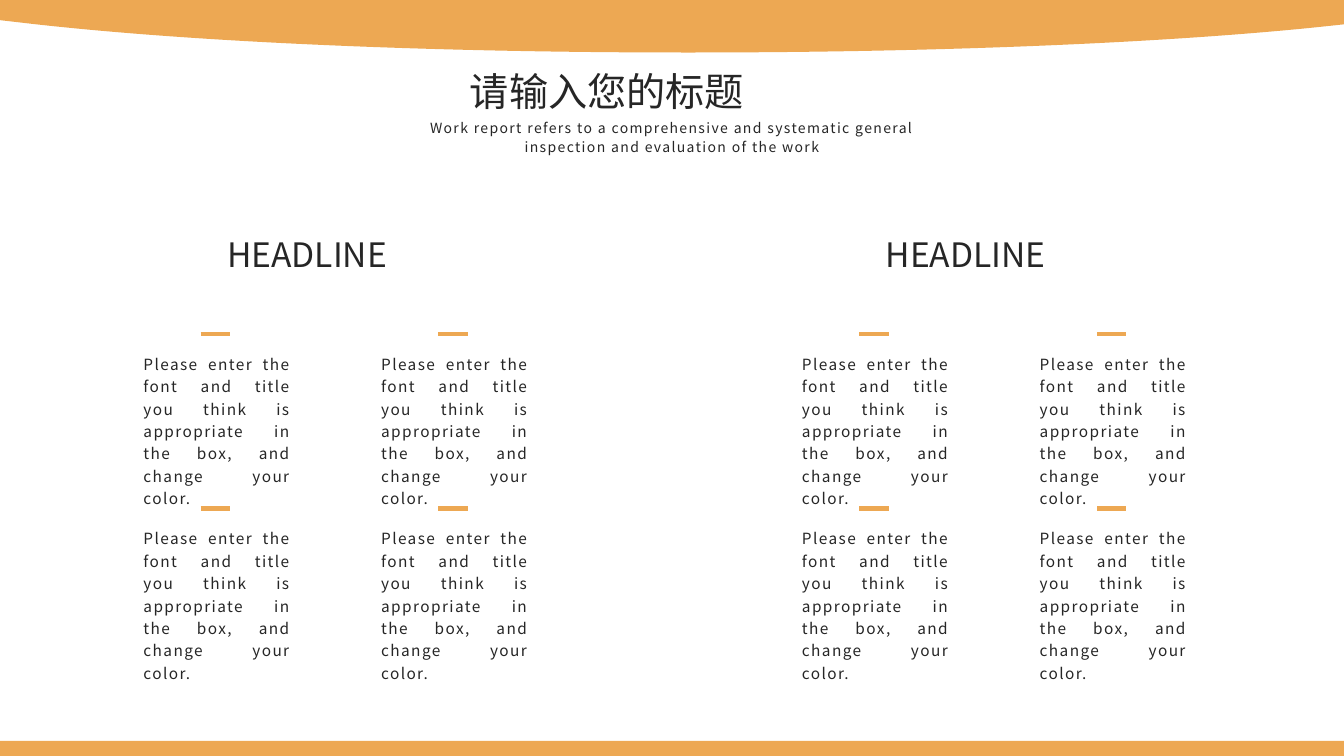
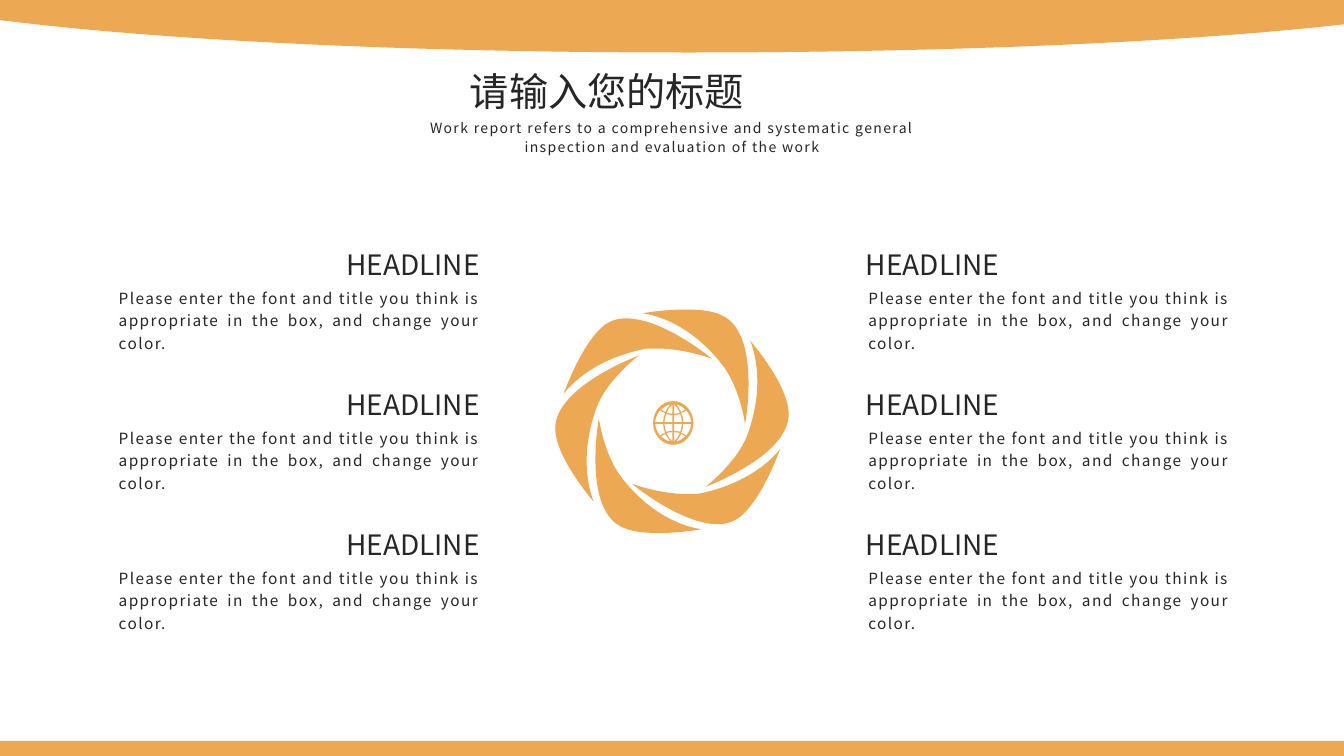
from dataclasses import dataclass
from itertools import product

from lxml.etree import SubElement
from pptx import Presentation
from pptx.dml.color import RGBColor
from pptx.enum.shapes import MSO_CONNECTOR, MSO_SHAPE
from pptx.enum.text import MSO_ANCHOR, MSO_AUTO_SIZE, PP_ALIGN
from pptx.oxml.ns import qn
from pptx.util import Emu, Pt


@dataclass(frozen=True)
class Theme:
    accent: RGBColor = RGBColor(0xED, 0xA8, 0x53)
    ink: RGBColor = RGBColor(0x26, 0x26, 0x26)
    font: str = "Noto Sans CJK SC"
    title: int = 28
    headline: int = 24
    small_headline: int = 20
    body: int = 11
    subtitle: int = 10
    body_leading: int = 16
    subtitle_leading: int = 14
    letter_spacing: int = 100


THEME = Theme()
COLUMNS, ROWS = 32, 18
CELL = 381000

TITLE = "请输入您的标题"
SUBTITLE = ("Work report refers to a comprehensive and systematic general "
            "inspection and evaluation of the work")
HEADLINE = "HEADLINE"
BODY = ("Please enter the font and title you think is appropriate in the box, "
        "and change your color.")

BAND = [
    [(16.39, 1.25)],
    [(22.27, 1.25), (27.6, 1.03), (31.34, 0.65)],
    [(COLUMNS, 0.58)], [(COLUMNS, 0)], [(0, 0)], [(0, 0.48)], [(0.43, 0.53)],
    [(4.22, 0.98), (9.96, 1.25), (16.39, 1.25)],
]

EMBLEM_CENTRE = (16, 10.03)
BLADES = [
    [
        [(-0.8, -1.56)],
        [(-0.8, -1.56), (-2.94, -0.77), (-2.77, 0.29)],
        [(-2.68, 0.98), (-1.86, 1.92), (-1.86, 1.92)],
        [(-1.86, 1.92), (-2.29, 1.01), (-1.79, -0.34)],
        [(-1.55, -0.98), (-0.8, -1.56), (-0.8, -1.56)],
    ],
    [
        [(-1.09, -2.45)],
        [(-1.28, -2.45), (-1.48, -2.4), (-1.64, -2.26)],
        [(-2.17, -1.82), (-2.58, -0.65), (-2.58, -0.65)],
        [(-2.58, -0.65), (-2.03, -1.46), (-0.61, -1.73)],
        [(-0.52, -1.73), (-0.42, -1.73), (-0.32, -1.73)],
        [(0.3, -1.73), (0.95, -1.49), (0.95, -1.49)],
        [(0.95, -1.49), (-0.2, -2.45), (-1.09, -2.45)],
    ],
    [
        [(0.3, -2.66)],
        [(-0.23, -2.66), (-0.71, -2.57), (-0.71, -2.57)],
        [(-0.71, -2.57), (0.28, -2.5), (1.16, -1.39)],
        [(1.62, -0.84), (1.74, 0.07), (1.74, 0.07)],
        [(1.74, 0.07), (2.15, -2.16), (1.14, -2.54)],
        [(0.92, -2.64), (0.61, -2.66), (0.3, -2.66)],
    ],
]

GLOBE_CENTRE = (16.03, 10.07)
GLOBE_RIM = [
    [(0, -0.52)],
    [(-0.27, -0.52), (-0.48, -0.28), (-0.48, 0)],
    [(-0.48, 0.28), (-0.27, 0.52), (0, 0.52)],
    [(0.27, 0.52), (0.48, 0.28), (0.48, 0)],
    [(0.48, -0.28), (0.27, -0.52), (0, -0.52)],
]
GLOBE_QUARTER_WINDOWS = [
    [
        [(0.43, -0.02)],
        [(0.24, -0.02)],
        [(0.24, -0.1), (0.22, -0.17), (0.19, -0.24)],
        [(0.24, -0.25), (0.28, -0.27), (0.31, -0.3)],
        [(0.38, -0.23), (0.42, -0.12), (0.43, -0.02)],
    ],
    [
        [(0.02, -0.02)],
        [(0.02, -0.19)],
        [(0.07, -0.19), (0.12, -0.2), (0.17, -0.21)],
        [(0.19, -0.15), (0.2, -0.09), (0.21, -0.02)],
    ],
    [
        [(0.02, -0.44)],
        [(0.08, -0.39), (0.13, -0.32), (0.16, -0.24)],
        [(0.12, -0.23), (0.07, -0.22), (0.02, -0.22)],
    ],
    [
        [(0.07, -0.44)],
        [(0.16, -0.42), (0.23, -0.38), (0.29, -0.32)],
        [(0.26, -0.29), (0.23, -0.27), (0.19, -0.26)],
        [(0.16, -0.32), (0.12, -0.38), (0.07, -0.44)],
    ],
]


def cells(*lengths):
    return [Emu(round(length * CELL)) for length in lengths]


def paint_fill(shape):
    shape.shadow.inherit = False
    shape.fill.solid()
    shape.fill.fore_color.rgb = THEME.accent
    shape.line.fill.background()


def mirrored(contour, signs):
    return [[tuple(sign * value for sign, value in zip(signs, point)) for point in segment]
            for segment in contour]


def bend_segments(shape, contours):
    lines = iter(list(shape._element.iter(qn("a:lnTo"))))
    for contour in contours:
        for segment in contour[1:]:
            first, *others = [next(lines) for _ in segment]
            if others:
                first.tag = qn("a:cubicBezTo")
            for line in others:
                first.append(line[0])
                line.getparent().remove(line)


def add_outline(shapes, contours, origin=(0, 0)):
    builder = None
    for contour in contours:
        points = [cells(*(base + value for base, value in zip(origin, point)))
                  for segment in contour for point in segment]
        if builder is None:
            builder = shapes.build_freeform(*points[0], scale=1.0)
        else:
            builder.move_to(*points[0])
        builder.add_line_segments(points[1:], close=True)
    shape = builder.convert_to_shape()
    bend_segments(shape, contours)
    paint_fill(shape)


def add_dash(slide, left, top, width):
    line = slide.shapes.add_connector(
        MSO_CONNECTOR.STRAIGHT, *cells(left, top, left + width, top))
    line.line.color.rgb = THEME.accent
    line.line.width = Pt(3)
    SubElement(line._element.spPr, qn("a:effectLst"))


def set_text(shape, text, size, alignment, leading=None):
    frame = shape.text_frame
    frame.text = text
    frame.word_wrap = True
    frame.auto_size = MSO_AUTO_SIZE.SHAPE_TO_FIT_TEXT
    frame.vertical_anchor = MSO_ANCHOR.TOP
    paragraph = frame.paragraphs[0]
    paragraph.alignment = alignment
    paragraph.space_before = Pt(0)
    run = paragraph.runs[0]
    run.font.size = Pt(size)
    run.font.name = THEME.font
    run.font.color.rgb = THEME.ink
    properties = run._r.get_or_add_rPr()
    SubElement(properties, qn("a:ea")).set("typeface", THEME.font)
    if leading:
        paragraph.line_spacing = Pt(leading)
        properties.set("spc", str(THEME.letter_spacing))


def add_text(slide, box, text, size, alignment=PP_ALIGN.JUSTIFY, leading=None):
    shape = slide.shapes.add_textbox(*cells(*box))
    set_text(shape, text, size, alignment, leading)


def add_body(slide, box):
    add_text(slide, box, BODY, THEME.body, leading=THEME.body_leading)


def add_framed_slide(presentation):
    slide = presentation.slides.add_slide(presentation.slide_layouts.get_by_name("Title Only"))
    add_outline(slide.shapes, [BAND])
    footer = slide.shapes.add_shape(
        MSO_SHAPE.RECTANGLE, *cells(0, ROWS - 0.36, COLUMNS, 0.4))
    paint_fill(footer)
    title = slide.shapes.title
    title.left, title.top, title.width, title.height = cells(10.95, 1.49, 10.1, 1.37)
    set_text(title, TITLE, THEME.title, PP_ALIGN.JUSTIFY)
    add_text(slide, (8.98, 2.65, 14.04, 1.13), SUBTITLE, THEME.subtitle,
             PP_ALIGN.CENTER, THEME.subtitle_leading)
    return slide


def add_note(slide, left, top):
    add_body(slide, (left, top + 0.29, 3.98, 2.88))
    add_dash(slide, left + 1.6, top, 0.7)


def add_emblem(slide):
    shapes = slide.shapes.add_group_shape().shapes
    for sign, blade in product((1, -1), BLADES):
        add_outline(shapes, [mirrored(blade, (sign, sign))], EMBLEM_CENTRE)
    windows = [mirrored(window, signs)
               for signs in product((1, -1), repeat=2) for window in GLOBE_QUARTER_WINDOWS]
    add_outline(shapes, [GLOBE_RIM, *windows], GLOBE_CENTRE)


def build_two_panels(presentation):
    slide = add_framed_slide(presentation)
    panel_offsets = (0, 15.68)
    for offset, row, column in product(panel_offsets, range(2), range(2)):
        add_note(slide, 3.18 + offset + column * 5.66, 7.95 + row * 4.16)
    for offset in panel_offsets:
        add_text(slide, (5.17 + offset, 5.46, 5.3, 1.2), HEADLINE, THEME.headline)


def build_emblem_list(presentation):
    slide = add_framed_slide(presentation)
    add_emblem(slide)
    row_step = 10 / 3
    sides = ((20.44, 20.38, PP_ALIGN.JUSTIFY), (2.59, 6.36, PP_ALIGN.RIGHT))
    for (body_left, headline_left, alignment), row in product(sides, range(3)):
        top = 5.78 + row * row_step
        add_body(slide, (body_left, top + 0.89, 9.07, 1.25))
        add_text(slide, (headline_left, top, 5.3, 1.06), HEADLINE,
                 THEME.small_headline, alignment)


def main():
    presentation = Presentation()
    presentation.slide_width, presentation.slide_height = cells(COLUMNS, ROWS)
    build_two_panels(presentation)
    build_emblem_list(presentation)
    presentation.save("out.pptx")


if __name__ == "__main__":
    main()
